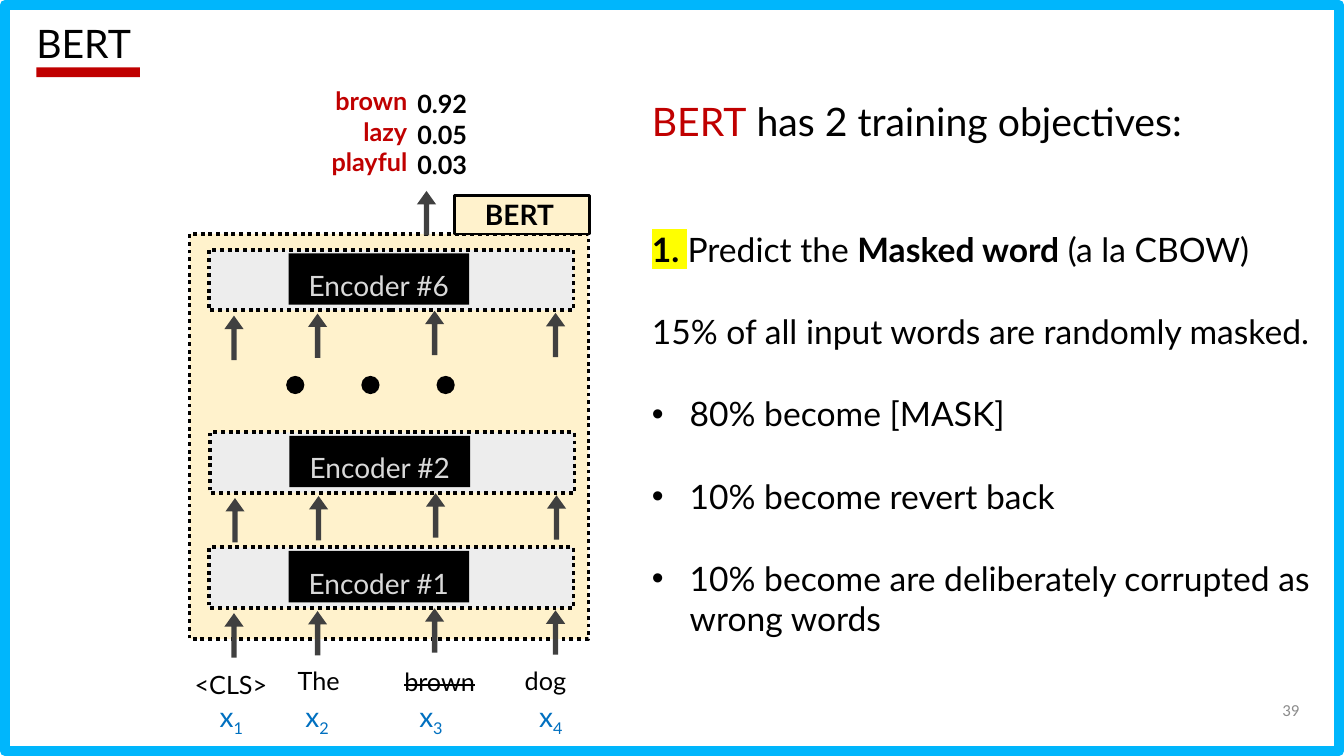
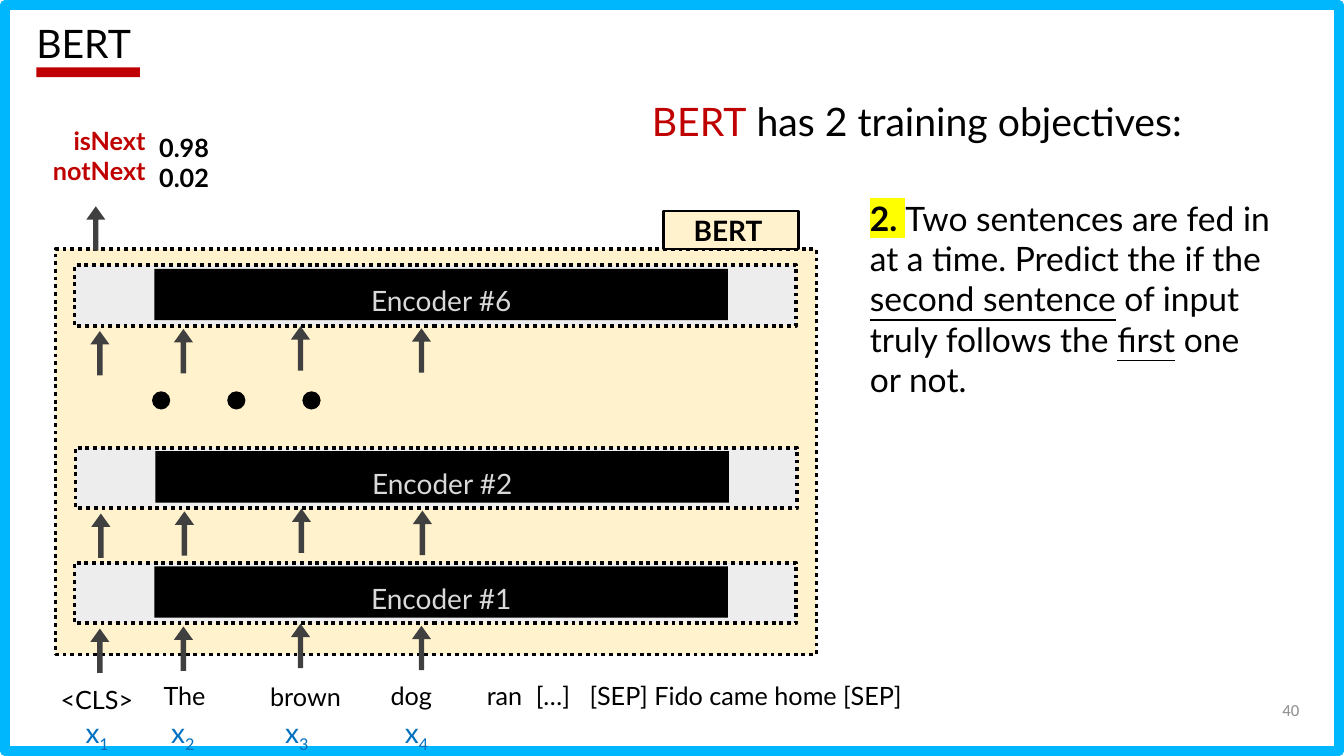
from lxml.etree import SubElement
from pptx import Presentation
from pptx.dml.color import RGBColor
from pptx.enum.dml import MSO_LINE
from pptx.enum.shapes import MSO_SHAPE
from pptx.enum.text import MSO_ANCHOR, PP_ALIGN
from pptx.oxml.ns import qn
from pptx.util import Pt

BLACK = RGBColor(0x00, 0x00, 0x00)
RED = RGBColor(0xC0, 0x00, 0x00)
BLUE = RGBColor(0x00, 0x70, 0xC0)
CYAN = RGBColor(0x00, 0xB6, 0xFC)
CREAM = RGBColor(0xFF, 0xF2, 0xCC)
PALE = RGBColor(0xED, 0xED, 0xED)
SILVER = RGBColor(0xD9, 0xD9, 0xD9)
GRAY = RGBColor(0x8C, 0x8C, 0x8C)
DARK = RGBColor(0x40, 0x40, 0x40)
YELLOW = RGBColor(0xFF, 0xFF, 0x00)

DOTTED = {"line": BLACK, "weight": 2.75, "dash": MSO_LINE.ROUND_DOT}
MARKED = {"bold": True, "highlight": YELLOW}


def draw(s, kind, x, y, w, h, fill=None, line=None, weight=1, dash=None):
    sp = s.shapes.add_shape(kind, Pt(x), Pt(y), Pt(w), Pt(h))
    sp.shadow.inherit = False
    if fill is None:
        sp.fill.background()
    else:
        sp.fill.solid()
        sp.fill.fore_color.rgb = fill
    if line is None:
        sp.line.fill.background()
    else:
        sp.line.color.rgb = line
        sp.line.width = Pt(weight)
        sp.line.dash_style = dash
    if kind == MSO_SHAPE.UP_ARROW:
        sp.adjustments[0], sp.adjustments[1] = 0.28, 0.7
    return sp


def write(tf, text, size=18, color=BLACK, font="Lato", bold=False, align=PP_ALIGN.LEFT,
          spacing=1.0, before=0, bullet=False, tabs=()):
    tf.word_wrap = True
    p = tf.add_paragraph() if tf.text else tf.paragraphs[0]
    pPr = p._p.get_or_add_pPr()
    if bullet:
        pPr.set("marL", str(Pt(27)))
        pPr.set("indent", str(Pt(-27)))
        SubElement(pPr, qn("a:buFont"), typeface="Arial")
        SubElement(pPr, qn("a:buChar"), char="•")
    if tabs:
        tab_list = SubElement(pPr, qn("a:tabLst"))
        for pos in tabs:
            SubElement(tab_list, qn("a:tab"), pos=str(Pt(pos)), algn="l")
    p.alignment = align
    p.line_spacing = spacing
    p.space_before = Pt(before)
    for part, style in [(text, {})] if isinstance(text, str) else text:
        r = p.add_run()
        r.text = part
        r.font.name = font
        r.font.size = Pt(size)
        r.font.bold = style.get("bold", bold)
        r.font.underline = style.get("underline")
        r.font.color.rgb = style.get("color", color)
        rPr = r._r.get_or_add_rPr()
        if "strike" in style:
            rPr.set("strike", "sngStrike")
        if "baseline" in style:
            rPr.set("baseline", str(style["baseline"]))
        if "highlight" in style:
            mark = SubElement(rPr, qn("a:highlight"))
            SubElement(mark, qn("a:srgbClr"), val=str(style["highlight"]))
            rPr.find(qn("a:latin")).addprevious(mark)


slides = [
    {
        "number": "39",
        "panel": (135.4, 167, 285),
        "bar_width": 260.6,
        "core_width": 129,
        "tag_x": 189.4,
        "output_x": 169.2,
        "labels": (200, 57.6, ["brown", "lazy", "playful"]),
        "scores": (291, 59.8, ["0.92", "0.05", "0.03"]),
        "masked": {"strike": True},
        "body": (458.6, 159.8, 496, 303),
        "text": [
            ([("1. ", MARKED), ("Predict the ", {}), ("Masked word", {"bold": True}),
              (" (a la CBOW)", {})], False),
            ("15% of all input words are randomly masked.", False),
            ("80% become [MASK]", True),
            ("10% become revert back", True),
            ("10% become are deliberately corrupted as wrong words", True),
        ],
    },
    {
        "number": "40",
        "panel": (39.6, 178, 543.6),
        "bar_width": 515.5,
        "core_width": 409.7,
        "tag_x": 434.2,
        "output_x": 28.8,
        "labels": (13, 85.7, ["isNext", "notNext"]),
        "scores": (106.6, 90.7, ["0.98", "0.02"]),
        "masked": {},
        "body": (614.2, 137.5, 306, 212),
        "text": [
            ([("2. ", MARKED), ("Two sentences are fed in at a time. Predict the if the ", {}),
              ("second sentence", {"underline": True}), (" of input truly follows the ", {}),
              ("first", {"underline": True}), (" one or not.", {})], False),
        ],
        "tail": "ran\t[…]\t[SEP] Fido came home [SEP]",
    },
]
encoders = [("Encoder #6", 13.7, 11.5), ("Encoder #2", 14.4, 141.8), ("Encoder #1", 13.7, 224)]
arrows = [(31.7, 47), (91.4, 45.5), (175, 43.5), (261.4, 45)]
tokens = [
    ("<CLS>", -13.7, 303, 76.3, PP_ALIGN.RIGHT, 14.4),
    ("The", 43.2, 300.2, 98, PP_ALIGN.CENTER, 75.6),
    ("brown", 129.6, 301, 98, PP_ALIGN.CENTER, 157),
    ("dog", 205.2, 300.2, 98, PP_ALIGN.CENTER, 242.6),
]

prs = Presentation()
prs.slide_width, prs.slide_height = Pt(960), Pt(540)

for data in slides:
    s = prs.slides.add_slide(prs.slide_layouts[5])
    draw(s, MSO_SHAPE.RECTANGLE, 3.5, 3.5, 953, 533, line=CYAN, weight=7)

    title = s.shapes.title
    title.left, title.top, title.width, title.height = Pt(18.7), Pt(13.7), Pt(157), Pt(49)
    title.text_frame.vertical_anchor = MSO_ANCHOR.TOP
    write(title.text_frame, "BERT", size=28, spacing=0.9)
    draw(s, MSO_SHAPE.RECTANGLE, 26, 48.2, 74, 7, RED)

    x0, y0, width = data["panel"]
    draw(s, MSO_SHAPE.RECTANGLE, x0, y0, width, 289.5, CREAM, **DOTTED)

    for name, dx, dy in encoders:
        x, y = x0 + dx, y0 + dy
        draw(s, MSO_SHAPE.RECTANGLE, x, y, data["bar_width"], 43.2, PALE, **DOTTED)
        core = draw(s, MSO_SHAPE.RECTANGLE, x + 57, y + 2.5, data["core_width"], 36.7, BLACK)
        core.text_frame.vertical_anchor = MSO_ANCHOR.TOP
        core.text_frame.margin_top = Pt(6)
        write(core.text_frame, name, size=20, color=SILVER, align=PP_ALIGN.CENTER, spacing=1.2)
        for center, drop in arrows:
            draw(s, MSO_SHAPE.UP_ARROW, x + center - 20.5, y + drop, 13.7, 31.7, DARK)

    for i in range(3):
        draw(s, MSO_SHAPE.OVAL, x0 + 69 + 53.7 * i, y0 + 101.5, 13, 13, BLACK)

    for i, (token, dx, dy, w, align, sub_x) in enumerate(tokens, 1):
        sp = s.shapes.add_textbox(Pt(x0 + dx), Pt(y0 + dy), Pt(w), Pt(39.6))
        style = data["masked"] if token == "brown" else {}
        write(sp.text_frame, [(token, style)], align=align, spacing=1.2)
        sp = s.shapes.add_textbox(Pt(x0 + sub_x), Pt(y0 + 329.3), Pt(32.4), Pt(31.5))
        write(sp.text_frame, [("x", {}), (str(i), {"baseline": -25000})], size=20, color=BLUE)

    if "tail" in data:
        sp = s.shapes.add_textbox(Pt(x0 + 301), Pt(y0 + 300.2), Pt(325.4), Pt(39.6))
        write(sp.text_frame, data["tail"], spacing=1.2, tabs=(35, 73.5))

    tag = draw(s, MSO_SHAPE.RECTANGLE, x0 + data["tag_x"], y0 - 27.2, 96.5, 27.2, CREAM, BLACK, 1.75)
    tf = tag.text_frame
    tf.margin_left = tf.margin_top = tf.margin_bottom = 0
    tf.margin_right = Pt(4)
    tf.vertical_anchor = MSO_ANCHOR.MIDDLE
    write(tf, "BERT", size=20, bold=True, align=PP_ALIGN.CENTER)

    draw(s, MSO_SHAPE.UP_ARROW, x0 + data["output_x"] - 6.8, y0 - 30.6, 13.7, 31.7, DARK)
    for key, w, color, align in [("labels", 98, RED, PP_ALIGN.RIGHT), ("scores", 77, BLACK, PP_ALIGN.LEFT)]:
        x, y, lines = data[key]
        sp = s.shapes.add_textbox(Pt(x), Pt(y), Pt(w), Pt(72))
        for line in lines:
            write(sp.text_frame, line, color=color, bold=True, align=align)

    sp = s.shapes.add_textbox(Pt(458.6), Pt(66.2), Pt(465), Pt(41))
    write(sp.text_frame, [("BERT", {"color": RED}), (" has 2 training objectives:", {})], size=28)

    sp = s.shapes.add_textbox(*map(Pt, data["body"]))
    for i, (text, bullet) in enumerate(data["text"]):
        write(sp.text_frame, text, size=24, before=30 if i else 0, bullet=bullet)

    sp = s.shapes.add_textbox(Pt(719.3), Pt(492.5), Pt(216), Pt(28.8))
    sp.text_frame.vertical_anchor = MSO_ANCHOR.MIDDLE
    write(sp.text_frame, data["number"], size=12, color=GRAY, font="Calibri", align=PP_ALIGN.RIGHT)

prs.save("out.pptx")
